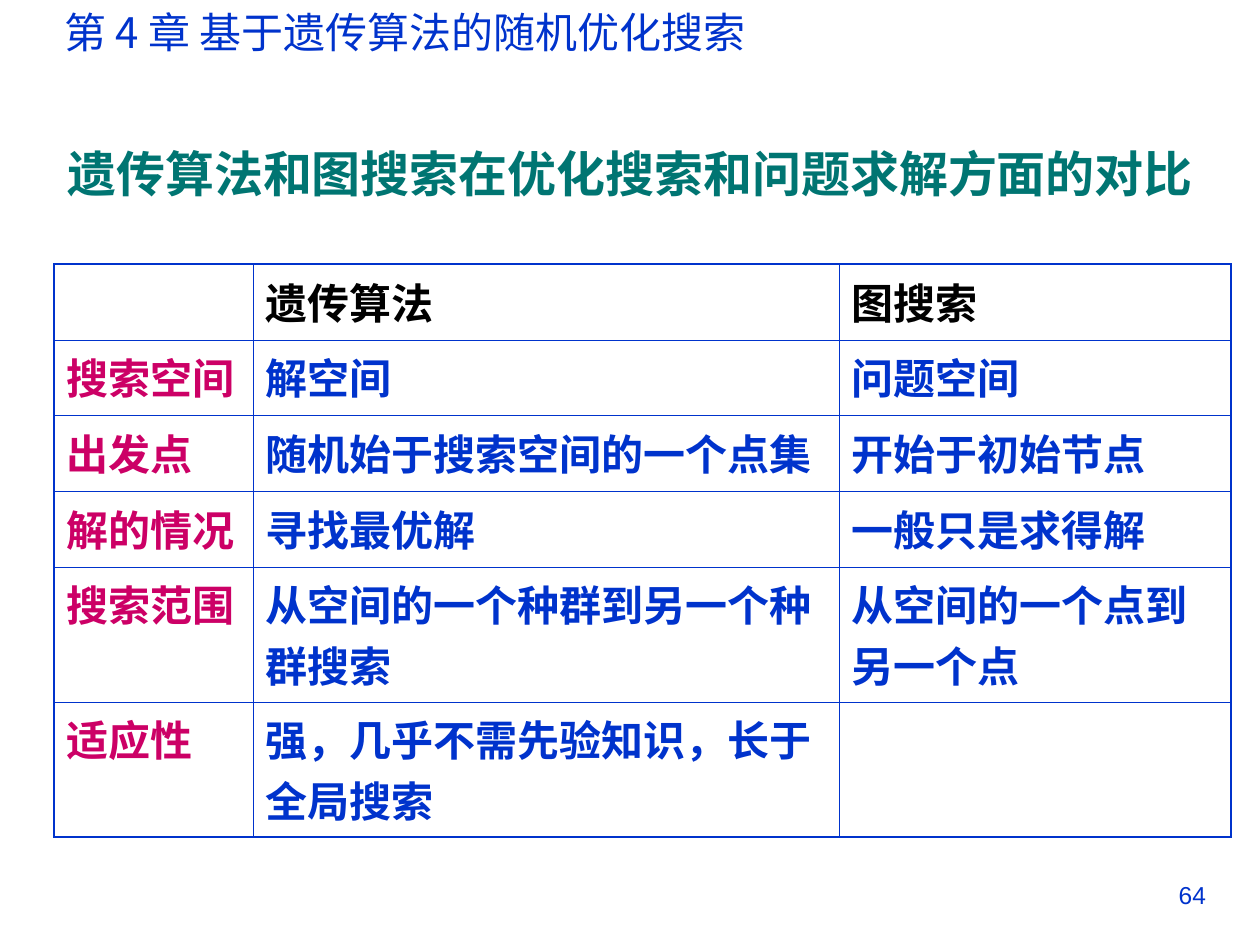
from dataclasses import dataclass

from lxml.etree import SubElement
from pptx import Presentation
from pptx.dml.color import RGBColor
from pptx.enum.text import MSO_ANCHOR, PP_ALIGN
from pptx.oxml.ns import qn
from pptx.util import Pt


@dataclass(frozen=True)
class Theme:
    blue: str = "0033CC"
    teal: str = "007572"
    pink: str = "CC0066"
    black: str = "000000"
    latin: str = "Arial"
    chinese: str = "Noto Sans CJK SC"
    title_size: float = 28
    body_size: float = 24
    number_size: float = 14
    outer_line: float = 1.08
    inner_line: float = 0.45


class SlideBuilder:
    def __init__(self, slide, theme):
        self.slide = slide
        self.theme = theme

    def add_run(self, paragraph, text, size, color, bold=False, latin=None):
        run = paragraph.add_run()
        run.text = text
        run.font.size = Pt(size)
        run.font.bold = bold
        run.font.color.rgb = RGBColor.from_string(color)
        run.font.name = latin or self.theme.latin
        east_asian = SubElement(run._r.get_or_add_rPr(), qn("a:ea"))
        east_asian.set("typeface", self.theme.chinese)

    def add_text(self, box, text, size, color, align=PP_ALIGN.LEFT,
                 anchor=MSO_ANCHOR.TOP, wrap=True, **style):
        shape = self.slide.shapes.add_textbox(*map(Pt, box))
        frame = shape.text_frame
        frame.word_wrap = wrap
        frame.vertical_anchor = anchor
        paragraph = frame.paragraphs[0]
        paragraph.alignment = align
        self.add_run(paragraph, text, size, color, **style)

    def add_border(self, cell, side, width):
        line = SubElement(cell._tc.get_or_add_tcPr(), qn(f"a:ln{side}"))
        line.set("w", str(Pt(width)))
        fill = SubElement(line, qn("a:solidFill"))
        SubElement(fill, qn("a:srgbClr")).set("val", self.theme.blue)

    def add_table(self, left, top, column_widths, row_heights, rows):
        """Draw a ruled table with a heavier frame, a header row and a label column."""
        theme = self.theme
        last_row, last_column = len(rows) - 1, len(column_widths) - 1
        table = self.slide.shapes.add_table(
            len(rows), len(column_widths), Pt(left), Pt(top),
            Pt(sum(column_widths)), Pt(sum(row_heights))).table
        table.first_row = table.horz_banding = False
        for column, width in zip(table.columns, column_widths):
            column.width = Pt(width)
        for row, height in zip(table.rows, row_heights):
            row.height = Pt(height)

        for i, texts in enumerate(rows):
            for j, text in enumerate(texts):
                cell = table.cell(i, j)
                on_frame = {"L": j == 0, "R": j == last_column,
                            "T": i == 0, "B": i == last_row}
                for side, outer in on_frame.items():
                    self.add_border(cell, side,
                                    theme.outer_line if outer else theme.inner_line)
                cell.fill.background()
                paragraph = cell.text_frame.paragraphs[0]
                paragraph.space_before = Pt(6)
                if text:
                    color = (theme.black if i == 0
                             else theme.pink if j == 0 else theme.blue)
                    self.add_run(paragraph, text, theme.body_size, color, bold=True)


COMPARISON = [
    ("", "遗传算法", "图搜索"),
    ("搜索空间", "解空间", "问题空间"),
    ("出发点", "随机始于搜索空间的一个点集", "开始于初始节点"),
    ("解的情况", "寻找最优解", "一般只是求得解"),
    ("搜索范围", "从空间的一个种群到另一个种群搜索", "从空间的一个点到另一个点"),
    ("适应性", "强，几乎不需先验知识，长于全局搜索", ""),
]


def main():
    theme = Theme()
    presentation = Presentation()
    presentation.slide_width, presentation.slide_height = Pt(720), Pt(540)
    slide = presentation.slides.add_slide(presentation.slide_layouts[6])
    builder = SlideBuilder(slide, theme)

    builder.add_text((29.75, 0, 420.5, 36), "第 4 章 基于遗传算法的随机优化搜索",
                     theme.body_size, theme.blue, wrap=False, latin=theme.chinese)
    builder.add_text((24, 54, 672, 90), "遗传算法和图搜索在优化搜索和问题求解方面的对比",
                     theme.title_size, theme.teal, PP_ALIGN.CENTER,
                     MSO_ANCHOR.MIDDLE, bold=True)
    builder.add_table(31, 151, [113.5, 335, 223.75],
                      [43.25] * 4 + [77.2] * 2, COMPARISON)
    builder.add_text((516.25, 499.25, 180, 37.5), "64",
                     theme.number_size, theme.blue, PP_ALIGN.RIGHT)

    presentation.save("out.pptx")


if __name__ == "__main__":
    main()
